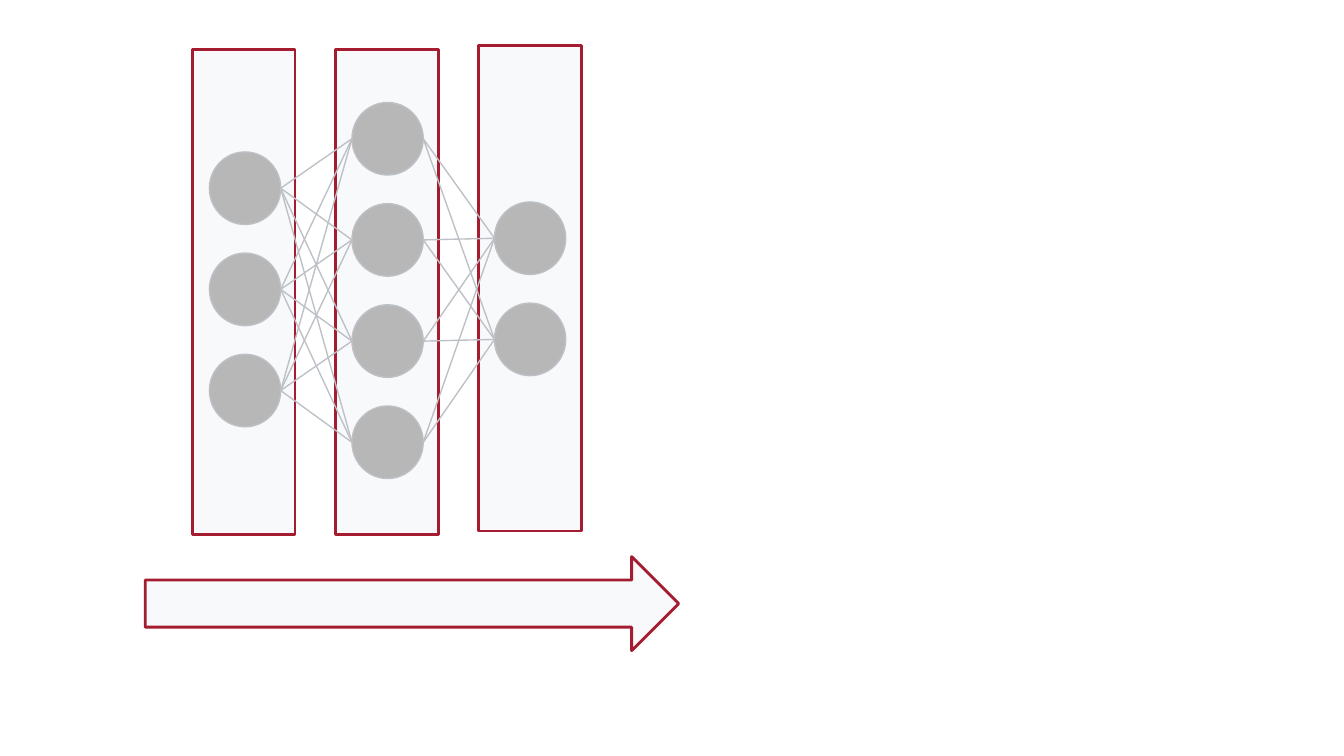
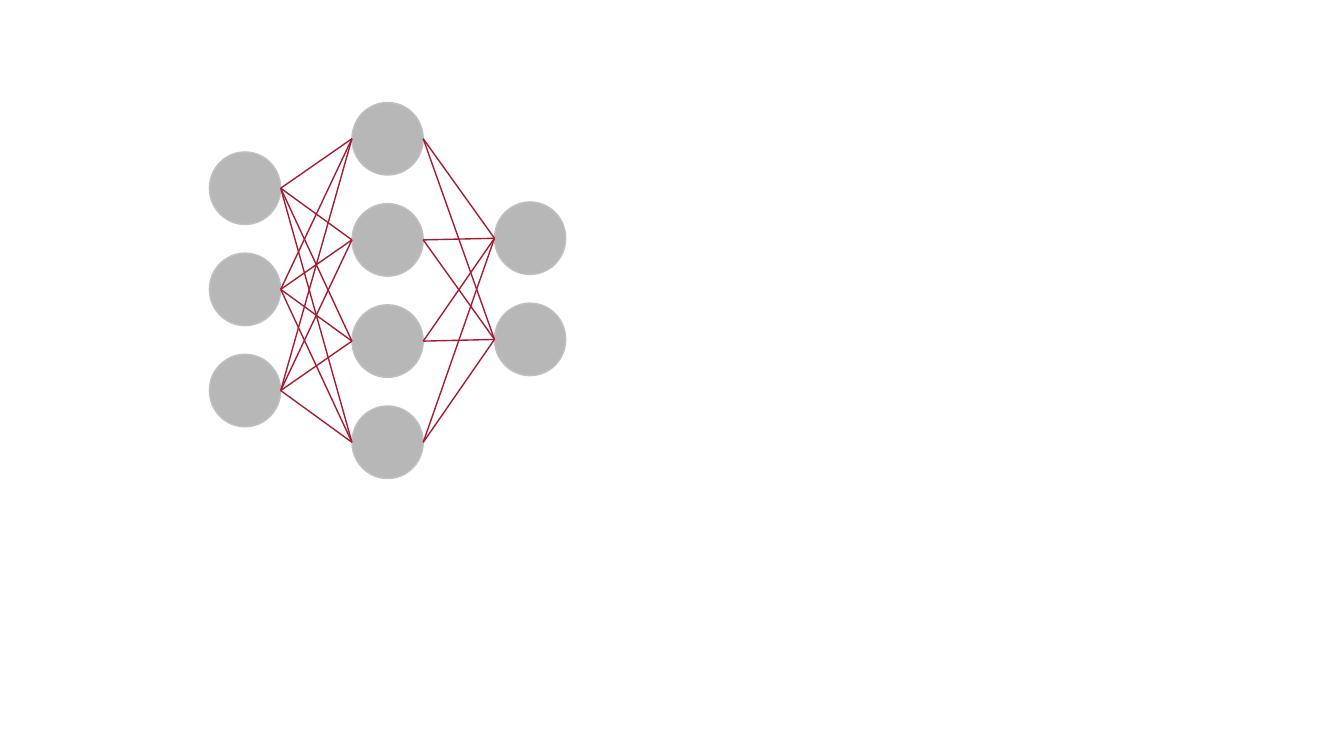
from itertools import pairwise, product

from lxml import etree
from pptx import Presentation
from pptx.dml.color import RGBColor
from pptx.enum.shapes import MSO_CONNECTOR, MSO_SHAPE
from pptx.oxml.ns import qn
from pptx.util import Pt

RECT, OVAL, ARROW = MSO_SHAPE.RECTANGLE, MSO_SHAPE.OVAL, MSO_SHAPE.RIGHT_ARROW
STRAIGHT = MSO_CONNECTOR.STRAIGHT
BLANK = 6

# Content: node count and first node's top for each layer, left to right
LAYERS = [(3, 81.4), (4, 54.9), (2, 108.2)]
BAND_TOPS = [26.6, 26.6, 24.5]
SLIDES = [
    {"edges": "edge", "bands": True},
    {"edges": "accent", "bands": False},
]

# Theme and geometry, in points
THEME = {
    "accent": RGBColor(0xA5, 0x1C, 0x30),
    "panel": RGBColor(0xF8, 0xF9, 0xFA),
    "node": RGBColor(0xB7, 0xB7, 0xB7),
    "edge": RGBColor(0xBD, 0xC1, 0xC6),
    "thin": 0.75,
    "thick": 1.5,
}
NODE_LEFT, NODE_STEP_X, NODE_STEP_Y = 112.2, 76.35, 54.2
NODE_W, NODE_H = 38.2, 38.9
BAND_LEFT, BAND_STEP, BAND_W, BAND_H = 103.1, 76.7, 55, 260
ARROW_BOX = (77.8, 298.2, 285.8, 50.4)


def style_line(line, color, width):
    line.color.rgb = THEME[color]
    line.width = Pt(THEME[width])


def add_shape(slide, kind, box, fill, line, width):
    sp = slide.shapes.add_shape(kind, *map(Pt, box))
    sp.shadow.inherit = False
    sp.fill.solid()
    sp.fill.fore_color.rgb = THEME[fill]
    style_line(sp.line, line, width)


def add_edge(slide, start, end, color):
    cxn = slide.shapes.add_connector(STRAIGHT, *map(Pt, start + end))
    style_line(cxn.line, color, "thin")
    etree.SubElement(cxn._element.spPr, qn("a:effectLst"))


def add_bands(slide):
    for i, top in reversed(list(enumerate(BAND_TOPS))):
        box = (BAND_LEFT + i * BAND_STEP, top, BAND_W, BAND_H)
        add_shape(slide, RECT, box, "panel", "accent", "thick")


def add_network(slide, edge_color):
    # Nodes, one column per layer
    columns = [
        [(NODE_LEFT + i * NODE_STEP_X, top + j * NODE_STEP_Y) for j in range(count)]
        for i, (count, top) in enumerate(LAYERS)
    ]
    for column in columns:
        for x, y in column:
            add_shape(slide, OVAL, (x, y, NODE_W, NODE_H), "node", "edge", "thin")

    # Every node joins every node of the next layer
    for left, right in pairwise(columns):
        for (x1, y1), (x2, y2) in product(left, right):
            start = (x1 + NODE_W, y1 + NODE_H / 2)
            end = (x2, y2 + NODE_H / 2)
            add_edge(slide, start, end, edge_color)


def main():
    prs = Presentation()
    prs.slide_width, prs.slide_height = Pt(720), Pt(405)
    for content in SLIDES:
        slide = prs.slides.add_slide(prs.slide_layouts[BLANK])
        if content["bands"]:
            add_bands(slide)
        add_network(slide, content["edges"])
        if content["bands"]:
            add_shape(slide, ARROW, ARROW_BOX, "panel", "accent", "thick")
    prs.save("out.pptx")


if __name__ == "__main__":
    main()
